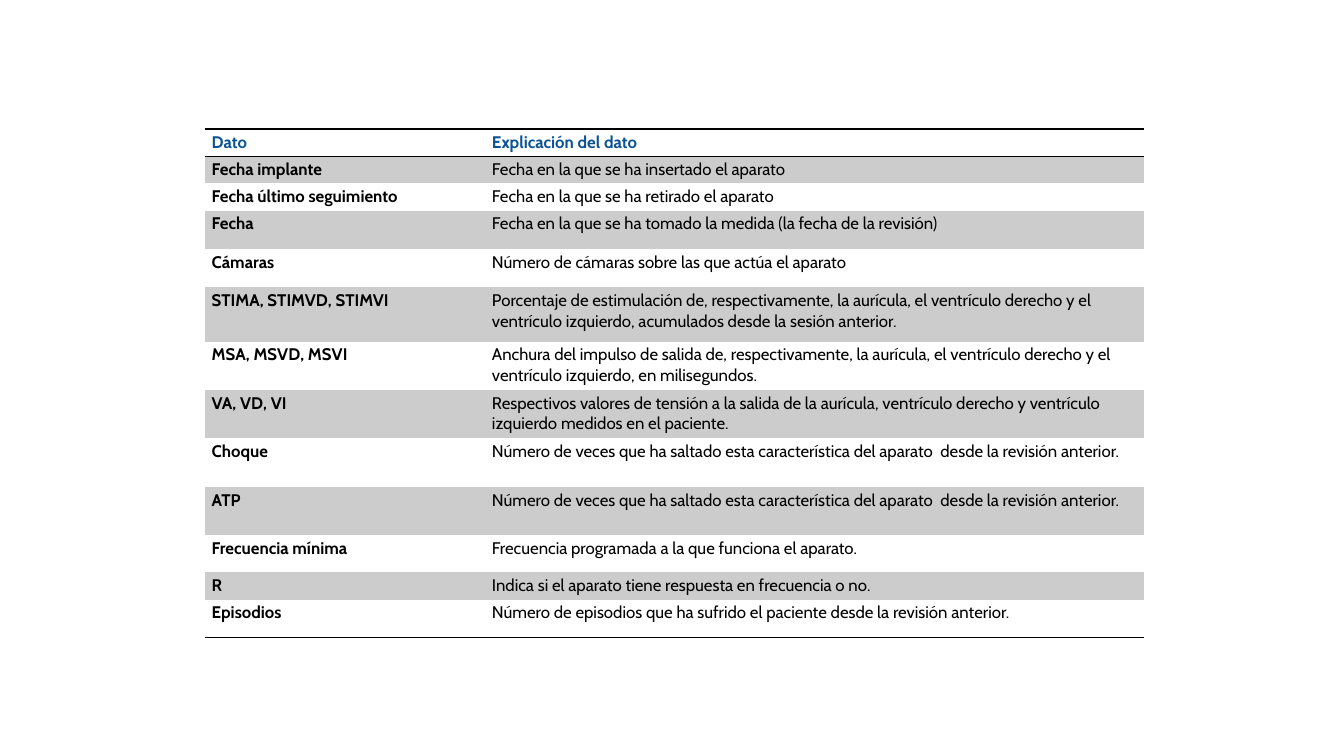
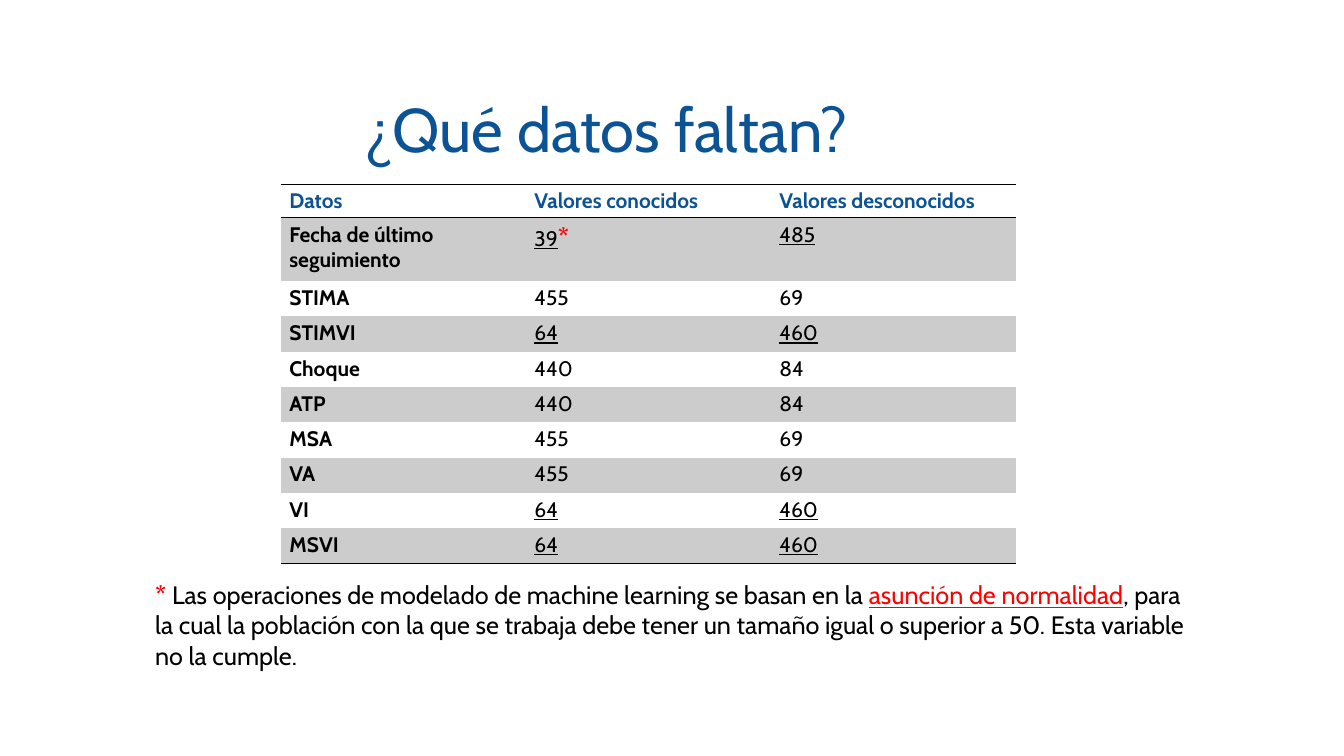
from lxml import etree
from pptx import Presentation
from pptx.dml.color import RGBColor
from pptx.enum.text import MSO_ANCHOR
from pptx.oxml.ns import qn
from pptx.util import Inches, Pt

MIDDLE = MSO_ANCHOR.MIDDLE
FONT = "Cabin"
BLUE, BLACK, RED, BAND = "0B5394", "000000", "FF0000", "CCCCCC"
PLAIN_TABLE_STYLE = "{2D5ABB26-0587-4C30-8999-92F81FD0307C}"
SHOCKS = "Número de veces que ha saltado esta característica del aparato  desde la revisión anterior."

DEFINITIONS = [
    ("Dato", "Explicación del dato"),
    ("Fecha implante", "Fecha en la que se ha insertado el aparato"),
    ("Fecha último seguimiento", "Fecha en la que se ha retirado el aparato"),
    ("Fecha", "Fecha en la que se ha tomado la medida (la fecha de la revisión)"),
    ("Cámaras", "Número de cámaras sobre las que actúa el aparato"),
    ("STIMA, STIMVD, STIMVI",
     "Porcentaje de estimulación de, respectivamente, la aurícula, el ventrículo derecho y el "
     "ventrículo izquierdo, acumulados desde la sesión anterior."),
    ("MSA, MSVD, MSVI",
     "Anchura del impulso de salida de, respectivamente, la aurícula, el ventrículo derecho y el "
     "ventrículo izquierdo, en milisegundos."),
    ("VA, VD, VI",
     "Respectivos valores de tensión a la salida de la aurícula, ventrículo derecho y ventrículo "
     "izquierdo medidos en el paciente."),
    ("Choque", SHOCKS),
    ("ATP", SHOCKS),
    ("Frecuencia mínima", "Frecuencia programada a la que funciona el aparato."),
    ("R", "Indica si el aparato tiene respuesta en frecuencia o no."),
    ("Episodios", "Número de episodios que ha sufrido el paciente desde la revisión anterior."),
]
DEFINITION_HEIGHTS = [0.27, 0.27, 0.27, 0.38, 0.38, 0.54, 0.48, 0.48, 0.48, 0.48, 0.37, 0.27, 0.38]

COUNT_HEADINGS = ("Datos", "Valores conocidos", "Valores desconocidos")
COUNTS = [
    ("Fecha de último seguimiento", 39, 485),
    ("STIMA", 455, 69),
    ("STIMVI", 64, 460),
    ("Choque", 440, 84),
    ("ATP", 440, 84),
    ("MSA", 455, 69),
    ("VA", 455, 69),
    ("VI", 64, 460),
    ("MSVI", 64, 460),
]
COUNT_HEIGHTS = [0.32, 0.63] + [0.35] * 8


def color(value):
    return RGBColor.from_string(value)


def style_font(font, size, ink=BLACK, bold=False, underline=None):
    font.name = FONT
    font.size = Pt(size)
    font.color.rgb = color(ink)
    font.bold = bold
    font.underline = underline


def add_run(paragraph, text, size, **style):
    run = paragraph.add_run()
    run.text = text
    style_font(run.font, size, **style)


def add_rule(cell, side):
    line = etree.Element(qn(f"a:{side}"), w=str(Pt(1)))
    ink = etree.SubElement(etree.SubElement(line, qn("a:solidFill")), qn("a:srgbClr"))
    ink.set("val", BLACK)
    properties = cell._tc.get_or_add_tcPr()
    properties.insert(len(properties.findall(qn("a:lnT"))), line)


def add_banded_table(slide, left, top, widths, heights, rows, size, insets):
    frame = slide.shapes.add_table(len(rows), len(widths), Inches(left), Inches(top),
                                   Inches(sum(widths)), Inches(sum(heights)))
    table = frame.table
    table._tbl.tblPr.find(qn("a:tableStyleId")).text = PLAIN_TABLE_STYLE
    for column, width in zip(table.columns, widths):
        column.width = Inches(width)
    for row, height in zip(table.rows, heights):
        row.height = Inches(height)
    for r, texts in enumerate(rows):
        for c, text in enumerate(texts):
            cell = table.cell(r, c)
            cell.margin_left = cell.margin_right = Inches(insets[0])
            cell.margin_top = cell.margin_bottom = Inches(insets[1])
            cell.text = text
            style_font(cell.text_frame.paragraphs[0].font, size,
                       ink=BLACK if r else BLUE, bold=r == 0 or c == 0)
            if r % 2:
                cell.fill.solid()
                cell.fill.fore_color.rgb = color(BAND)
            else:
                cell.fill.background()
            if r == 0:
                add_rule(cell, "lnT")
            if r in (0, len(rows) - 1):
                add_rule(cell, "lnB")
    return table


def add_text_area(slide, left, top, width, height):
    box = slide.shapes.add_textbox(Inches(left), Inches(top), Inches(width), Inches(height))
    box.text_frame.word_wrap = True
    return box.text_frame


def add_title(slide, text, left, top, width, height):
    title = add_text_area(slide, left, top, width, height)
    title.vertical_anchor = MIDDLE
    title.text = text
    paragraph = title.paragraphs[0]
    paragraph.line_spacing = 0.9
    style_font(paragraph.font, 44, ink=BLUE)


def add_normality_note(slide, left, top, width, height):
    paragraph = add_text_area(slide, left, top, width, height).paragraphs[0]
    add_run(paragraph, "*", 18, ink=RED, bold=True)
    add_run(paragraph, " Las operaciones de modelado de machine learning se basan en la ", 18)
    add_run(paragraph, "asunción de normalidad", 18, ink=RED, underline=True)
    add_run(paragraph, ", para la cual la población con la que se trabaja debe tener un tamaño "
                       "igual o superior a 50. Esta variable no la cumple.", 18)


def build_definitions(slide):
    add_banded_table(slide, 2.03, 1.28, [2.78, 6.54], DEFINITION_HEIGHTS, DEFINITIONS,
                     12, (0.07, 0.03))


def build_missing_data(slide):
    add_title(slide, "¿Qué datos faltan?", 3.52, 0.59, 5.65, 1.45)
    rows = [COUNT_HEADINGS] + [(name, str(known), str(unknown)) for name, known, unknown in COUNTS]
    table = add_banded_table(slide, 2.79, 1.83, [2.43] * 3, COUNT_HEIGHTS, rows, 15, (0.08, 0.04))
    for r, (_, known, unknown) in enumerate(COUNTS, start=1):
        if known < unknown:
            for c in (1, 2):
                table.cell(r, c).text_frame.paragraphs[0].runs[0].font.underline = True
        if known < 50:
            add_run(table.cell(r, 1).text_frame.paragraphs[0], "*", 18, ink=RED, bold=True)
    add_normality_note(slide, 1.44, 5.7, 10.45, 1.01)


def main():
    deck = Presentation()
    deck.slide_width, deck.slide_height = Inches(13.33), Inches(7.5)
    blank = deck.slide_layouts[6]
    for build in (build_definitions, build_missing_data):
        build(deck.slides.add_slide(blank))
    deck.save("out.pptx")


if __name__ == "__main__":
    main()
